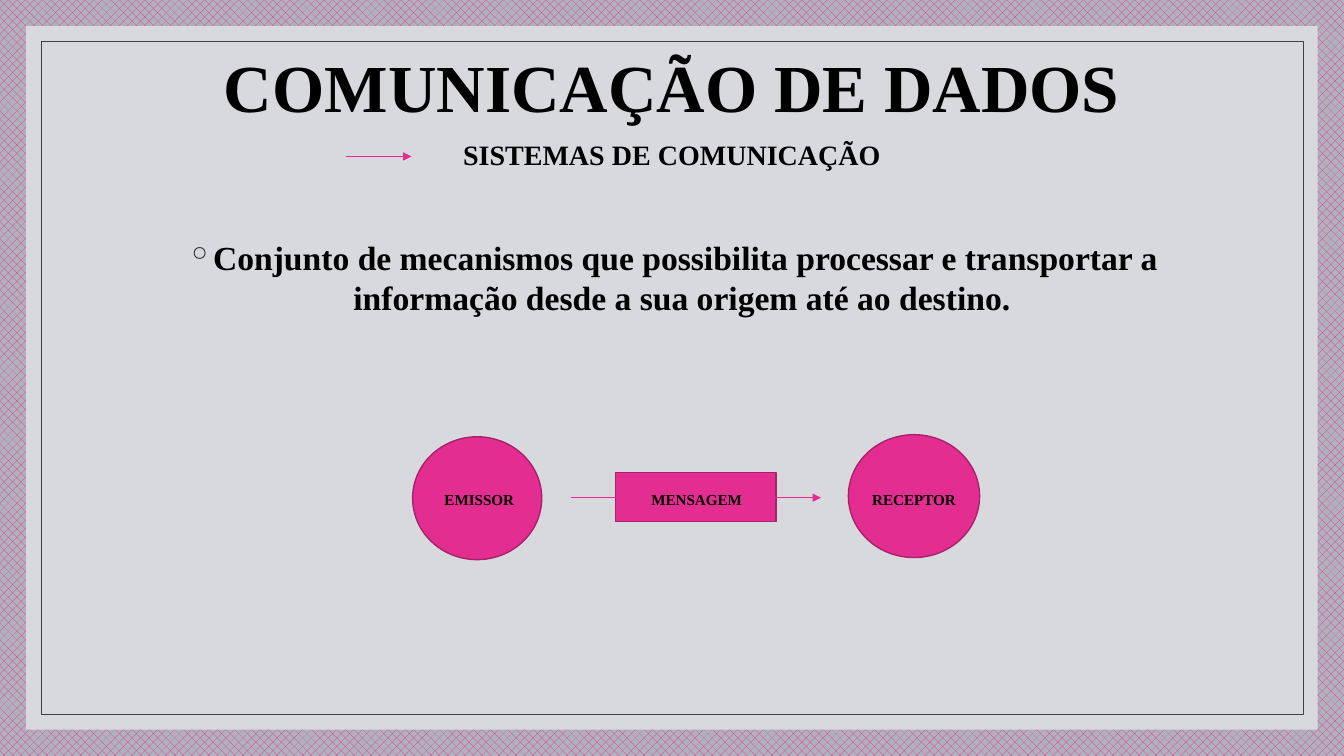
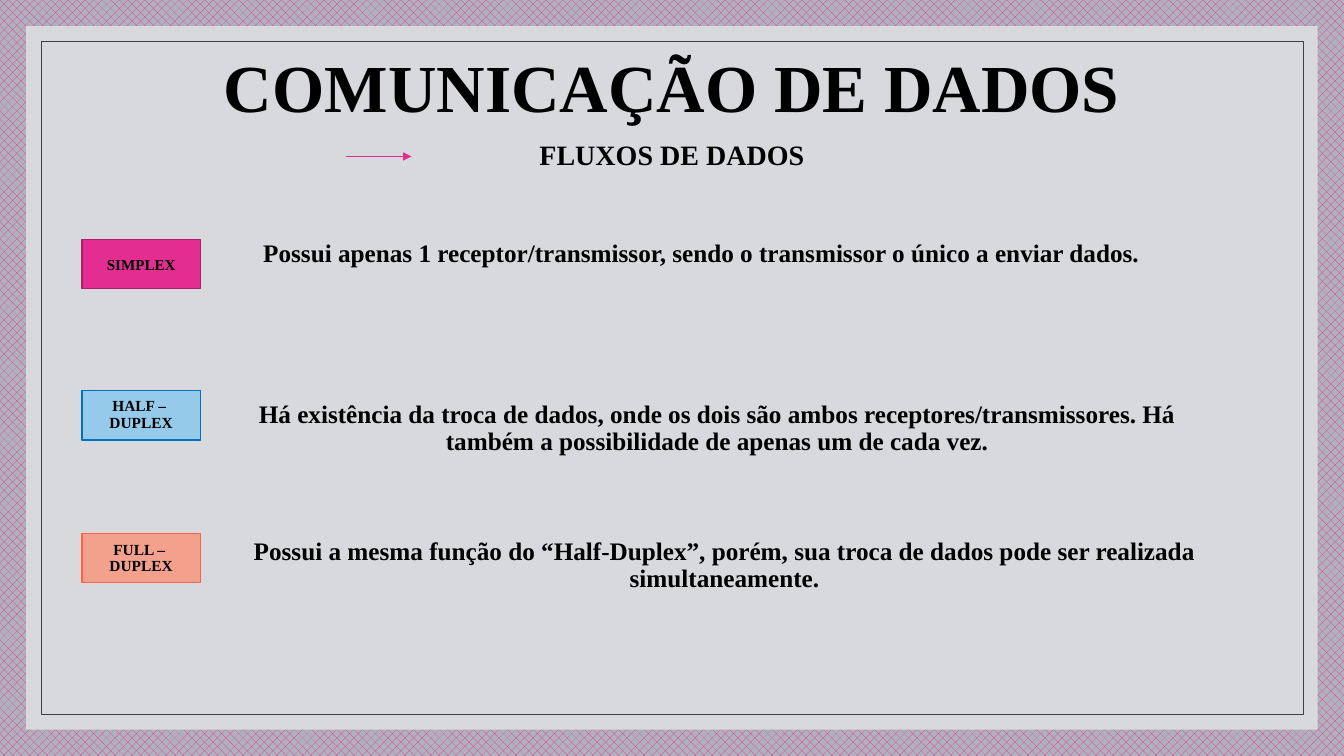
"""Build two slides on data communication: systems and data flows."""
from lxml.etree import SubElement as Sub
from pptx import Presentation
from pptx.dml.color import RGBColor as Rgb
from pptx.enum.dml import MSO_PATTERN as Pat
from pptx.enum.shapes import MSO_CONNECTOR as Link, MSO_SHAPE as Form
from pptx.enum.text import MSO_ANCHOR as Anchor, PP_ALIGN as Align
from pptx.oxml.ns import qn
from pptx.util import Pt

PX = 9525
PINK = Rgb(0xE3, 0x2D, 0x91)
PLUM = Rgb(0xA8, 0x21, 0x6B)
SKY = Rgb(0x95, 0xCA, 0xEA)
BLUE = Rgb(0x00, 0x70, 0xC0)
PEACH = Rgb(0xF3, 0xA0, 0x8D)
CORAL = Rgb(0xFE, 0x63, 0x44)
PALE = Rgb(0xD8, 0xD9, 0xDC)
MIST = Rgb(0xB1, 0xB1, 0xBD)
DARK = Rgb(0x40, 0x40, 0x40)
BLACK = Rgb(0, 0, 0)
FACE = {"name": "Times New Roman", "bold": True}


def draw(slide, form, box, fill=None, edge=None, width=1):
    shape = slide.shapes.add_shape(form, *[n * PX for n in box])
    shape.shadow.inherit = False
    for part, color in ((shape.fill, fill), (shape.line.fill, edge)):
        if color is None:
            part.background()
        else:
            part.solid()
            part.fore_color.rgb = color
    if edge is not None:
        shape.line.width = Pt(width)


def write(slide, box, text, size, lead=0.9, top=False):
    frame = slide.shapes.add_textbox(*[n * PX for n in box]).text_frame
    frame.word_wrap = True
    frame.vertical_anchor = Anchor.TOP if top else Anchor.MIDDLE
    frame.text = text
    style = {"alignment": Align.CENTER, "line_spacing": lead,
             "space_before": Pt(9 if top else 0)}
    for para in frame.paragraphs:
        for key, value in style.items():
            setattr(para, key, value)
        font = para.runs[0].font
        for key, value in {**FACE, "size": Pt(size)}.items():
            setattr(font, key, value)
        font.color.rgb = BLACK
    return frame.paragraphs[0]


deck = Presentation()
deck.slide_width, deck.slide_height = 1280 * PX, 720 * PX
blank = deck.slide_layouts[6]

pages = []
for topic in ("SISTEMAS DE COMUNICAÇÃO", "FLUXOS DE DADOS"):
    page = deck.slides.add_slide(blank)
    back = page.background.fill
    back.patterned()
    back.pattern = Pat.from_xml("pct40")
    back.fore_color.rgb, back.back_color.rgb = PINK, MIST
    draw(page, Form.RECTANGLE, (25, 25, 1230, 670), PALE)
    draw(page, Form.RECTANGLE, (39, 39, 1202, 641), None, DARK, 0.5)
    write(page, (112, 14, 1056, 144), "COMUNICAÇÃO DE DADOS", 48)
    write(page, (112, 77, 1056, 144), topic, 20)
    pages.append(page)
system, flow = pages

lead = write(system, (112, 221, 1056, 413),
             "Conjunto de mecanismos que possibilita processar e transportar a "
             "informação desde a sua origem até ao destino.", 24, 1.0, True)
props = lead._p.get_or_add_pPr()
props.set("marL", str(19 * PX))
props.set("indent", str(-19 * PX))
Sub(Sub(props, qn("a:buClr")), qn("a:srgbClr"), val="262626")
Sub(props, qn("a:buChar"), char="◦")

for form, box, left, name in (
        (Form.OVAL, (393, 416, 123, 117), 368, "EMISSOR"),
        (Form.RECTANGLE, (586, 450, 153, 47), 575, "MENSAGEM"),
        (Form.OVAL, (808, 414, 125, 117), 782, "RECEPTOR")):
    draw(system, form, box, PINK, PLUM)
    write(system, (left, 466, 177, 24), name, 10.8, 0.7)

for top, fill, edge, name, tag, box, text in (
        (228, PINK, PLUM, "SIMPLEX", (46, 242, 177, 24), (140, 225, 1056, 62),
         "Possui apenas 1 receptor/transmissor, sendo o transmissor o único "
         "a enviar dados."),
        (372, SKY, BLUE, "HALF – \nDUPLEX", (31, 369, 207, 52), (223, 378, 920, 62),
         "Há existência da troca de dados, onde os dois são ambos "
         "receptores/transmissores. Há também a possibilidade de apenas um "
         "de cada vez."),
        (508, PEACH, CORAL, "FULL – \nDUPLEX", (31, 506, 207, 52), (230, 508, 920, 62),
         "Possui a mesma função do “Half-Duplex”, porém, sua troca de dados "
         "pode ser realizada simultaneamente.")):
    draw(flow, Form.RECTANGLE, (78, top, 113, 47), fill, edge)
    size, lead = (11, 0.9) if "\n" in name else (10.8, 0.7)
    write(flow, tag, name, size, lead)
    write(flow, box, text, 18, 0.9, True)

for page, start, end, y in ((system, 330, 392, 149), (flow, 330, 392, 149),
                            (system, 544, 607, 474), (system, 721, 782, 474)):
    arrow = page.shapes.add_connector(Link.STRAIGHT, start * PX, y * PX, end * PX, y * PX)
    arrow.line.color.rgb = PINK
    arrow.line.width = Pt(0.5)
    props = arrow.element.spPr
    Sub(props.find(qn("a:ln")), qn("a:tailEnd"), type="triangle")
    Sub(props, qn("a:effectLst"))

deck.save("out.pptx")
